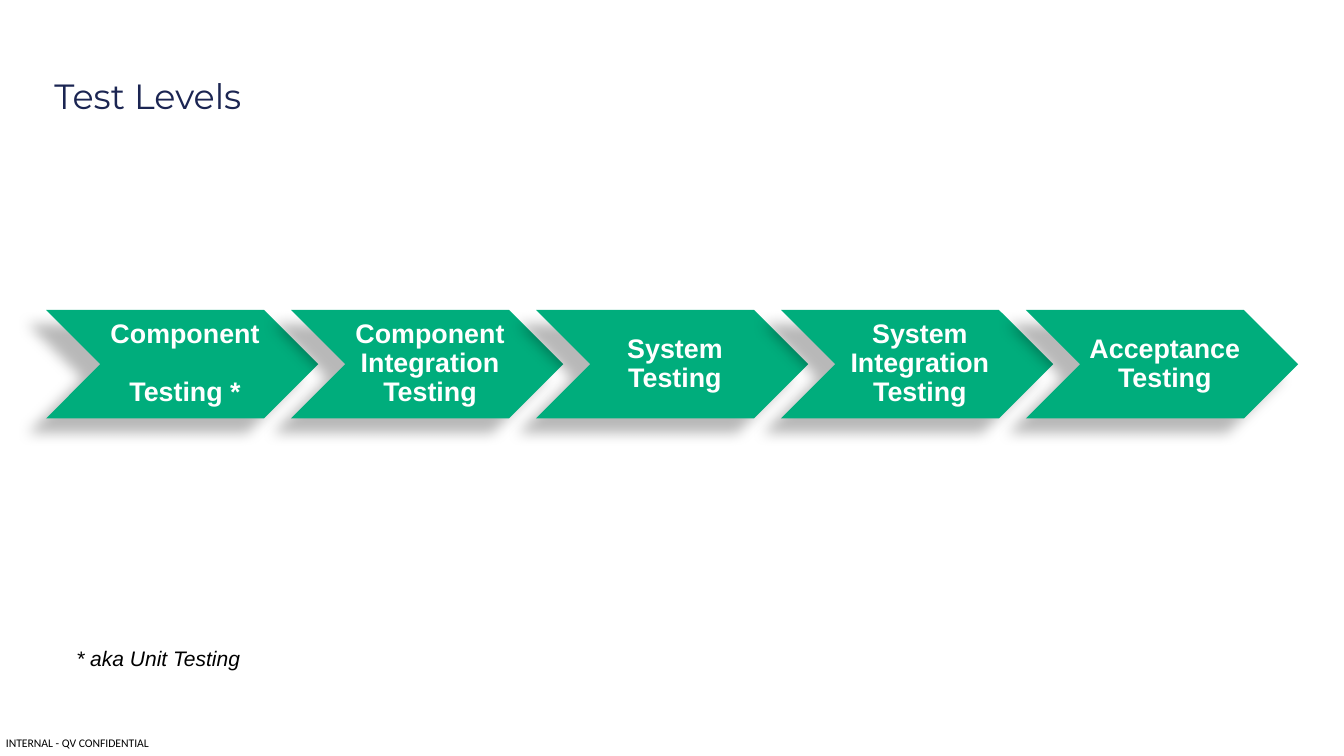
from lxml import etree
from pptx import Presentation
from pptx import util as u
from pptx.dml.color import RGBColor
from pptx.enum import shapes, text
from pptx.oxml.ns import qn

# Content: each level is a list of paragraphs
TITLE = "Test Levels"
LEVELS = [
    ["Component", "Testing *"],
    ["Component Integration Testing"],
    ["System Testing"],
    ["System Integration Testing"],
    ["Acceptance Testing"],
]
FOOTNOTE = "* aka Unit Testing"
CLASSIFICATION = "INTERNAL - QV CONFIDENTIAL"

COLORS = {"title": "1B2552", "level": "00AD7C", "label": "FFFFFF", "text": "000000"}

# Chevron row: each one starts 90% of a width after the last
LEFT, TOP, WIDTH, HEIGHT = 0.55, 3.69, 3.24, 1.29
PITCH = 0.9 * WIDTH
LABEL_INSET = 0.2 * WIDTH


def add_text(parent, area, paragraphs, font, size, color, margins=(0.1, 0.05, 0.1, 0.05),
             anchor=text.MSO_ANCHOR.TOP, align=text.PP_ALIGN.LEFT,
             bold=False, italic=False, line_spacing=1.0, gap=0, wrap=True):
    box = parent.add_textbox(*[u.Inches(length) for length in area])
    frame = box.text_frame
    frame.word_wrap = wrap
    frame.vertical_anchor = anchor
    (frame.margin_left, frame.margin_top,
     frame.margin_right, frame.margin_bottom) = [u.Inches(m) for m in margins]
    for index, words in enumerate(paragraphs):
        para = frame.add_paragraph() if index else frame.paragraphs[0]
        para.alignment = align
        para.line_spacing = line_spacing
        para.space_before = u.Pt(gap if index else 0)
        span = para.add_run()
        span.text = words
        span.font.name = font
        span.font.size = u.Pt(size)
        span.font.bold = bold
        span.font.italic = italic
        span.font.color.rgb = RGBColor.from_string(COLORS[color])


def add_shadow(shape):
    shape.shadow.inherit = False
    effects = shape._element.spPr.find(qn("a:effectLst"))
    shadow = etree.SubElement(effects, qn("a:outerShdw"), blurRad=str(u.Pt(11.8)),
                              dist=str(u.Pt(19.7)), dir=str(141 * 60000), rotWithShape="0")
    tint = etree.SubElement(shadow, qn("a:srgbClr"), val=COLORS["text"])
    etree.SubElement(tint, qn("a:alpha"), val="28000")


def add_level(page, left, paragraphs):
    group = page.shapes.add_group_shape().shapes
    chevron = group.add_shape(shapes.MSO_SHAPE.CHEVRON, u.Inches(left), u.Inches(TOP),
                              u.Inches(WIDTH), u.Inches(HEIGHT))
    chevron.fill.solid()
    chevron.fill.fore_color.rgb = RGBColor.from_string(COLORS["level"])
    chevron.line.fill.background()
    add_shadow(chevron)
    add_text(group, (left + LABEL_INSET, TOP, WIDTH - 2 * LABEL_INSET, HEIGHT), paragraphs,
             "Arial", 23, "label", margins=(0.1, 0.03, 0.03, 0.03),
             anchor=text.MSO_ANCHOR.MIDDLE, align=text.PP_ALIGN.CENTER,
             bold=True, line_spacing=0.9, gap=25)


def main():
    deck = Presentation()
    deck.slide_width, deck.slide_height = u.Inches(16), u.Inches(9)
    page = deck.slides.add_slide(deck.slide_layouts[6])

    # Classification (kept on one line) and title
    add_text(page.shapes, (0.07, 8.76, 1.8, 0.17), [CLASSIFICATION],
             "Calibri", 10, "text", margins=(0, 0, 0, 0), wrap=False)
    add_text(page.shapes, (0.55, 0.36, 14.9, 1.11), [TITLE], "Montserrat", 30, "title",
             margins=(0.1, 0.08, 0.16, 0.08), anchor=text.MSO_ANCHOR.BOTTOM)

    # Test levels
    for index, paragraphs in enumerate(LEVELS):
        add_level(page, LEFT + index * PITCH, paragraphs)

    # Footnote
    add_text(page.shapes, (0.81, 7.64, 3.4, 0.4), [FOOTNOTE], "Arial", 18, "text", italic=True)

    deck.save("out.pptx")


if __name__ == "__main__":
    main()
